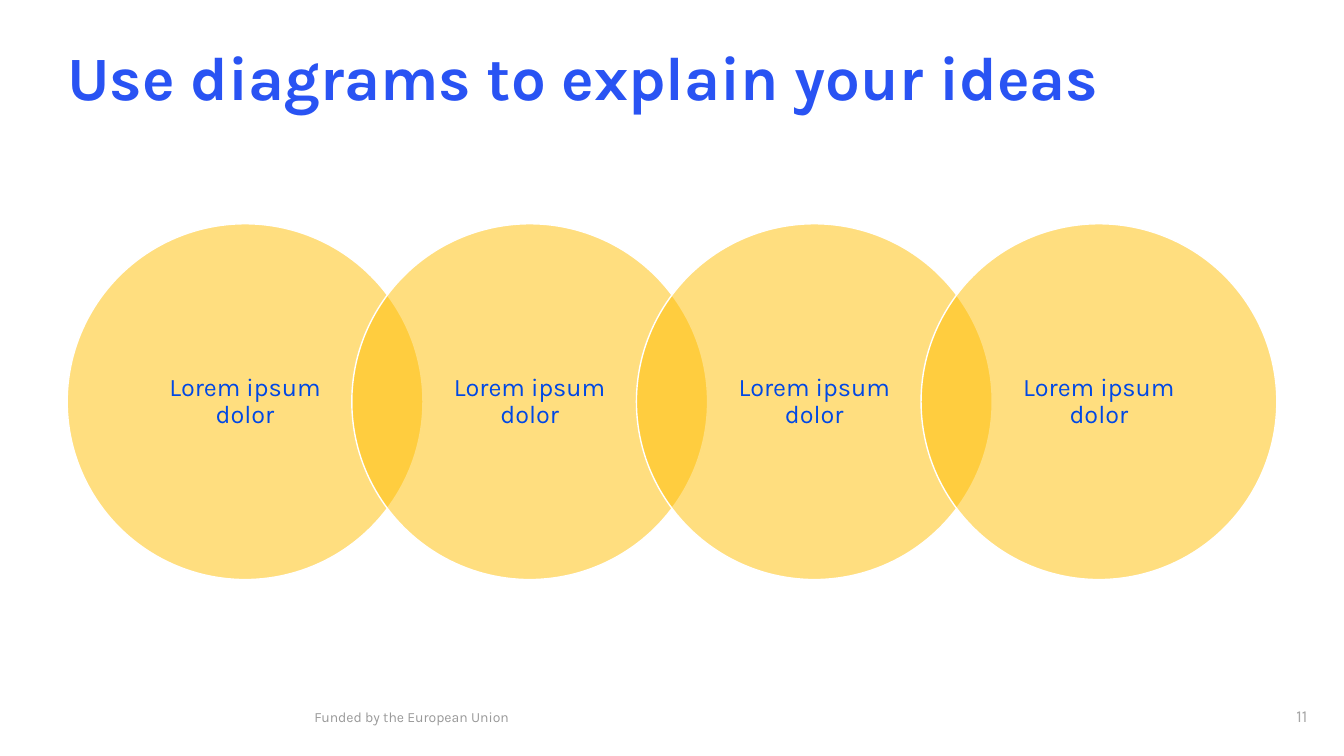
from dataclasses import dataclass

from lxml import etree
from pptx import Presentation, util as u
from pptx.dml.color import RGBColor
from pptx.enum import shapes, text
from pptx.oxml.ns import qn


@dataclass(frozen=True)
class Style:
    size: float
    color: str
    bold: bool = False


@dataclass(frozen=True)
class Theme:
    font: str = "Karla"
    circle: str = "FFBE00"
    outline: str = "FFFFFF"
    opacity: float = 0.5
    title: Style = Style(44, "2953F3", True)
    label: Style = Style(18, "0048E5")
    footer: Style = Style(10, "999999")
    number: Style = Style(12, "A6A6A6")


@dataclass(frozen=True)
class Box:
    """Lengths in inches."""
    left: float
    top: float
    width: float
    height: float

    def emu(self) -> tuple:
        return tuple(u.Inches(n) for n in (self.left, self.top, self.width, self.height))


THEME = Theme()
WIDTH, HEIGHT = 40 / 3, 7.5
MARGIN = 0.05 * WIDTH
CONTENT = WIDTH - 2 * MARGIN
OVERLAP = 0.2  # share of a circle's diameter
CIRCLE_TOP = 0.296 * HEIGHT
LABELS = ["Lorem ipsum dolor"] * 4


def write(sp, words: str, style: Style, insets=(0.1, 0.05, 0.1, 0.05),
          anchor=text.MSO_ANCHOR.TOP, align=text.PP_ALIGN.LEFT, spacing=1.0) -> None:
    """Insets are left, top, right and bottom, in inches."""
    tf = sp.text_frame
    tf.text = words
    tf.word_wrap = True
    tf.auto_size = text.MSO_AUTO_SIZE.NONE
    tf.vertical_anchor = anchor
    tf.margin_left, tf.margin_top, tf.margin_right, tf.margin_bottom = map(u.Inches, insets)
    p = tf.paragraphs[0]
    p.alignment = align
    p.line_spacing = spacing
    r = p.runs[0]
    r.font.name = THEME.font
    r.font.size = u.Pt(style.size)
    r.font.bold = style.bold
    r.font.color.rgb = RGBColor.from_string(style.color)


def add_circle(group, box: Box, label: str) -> None:
    sp = group.shapes.add_shape(shapes.MSO_SHAPE.OVAL, *box.emu())
    sp.shadow.inherit = False
    sp.fill.solid()
    sp.fill.fore_color.rgb = RGBColor.from_string(THEME.circle)
    color = sp.fill._xPr.find(qn("a:solidFill"))[0]
    etree.SubElement(color, qn("a:alpha"), val=str(int(THEME.opacity * 100000)))
    sp.line.color.rgb = RGBColor.from_string(THEME.outline)
    sp.line.width = u.Pt(1)
    write(sp, label, THEME.label, (0.19, 0.03, 0.19, 0.03),
          text.MSO_ANCHOR.MIDDLE, text.PP_ALIGN.CENTER, 0.9)


def add_chain(s, labels: list[str]) -> None:
    """Overlapping circles that fill the content width."""
    diameter = CONTENT / (1 + (len(labels) - 1) * (1 - OVERLAP))
    pitch = diameter * (1 - OVERLAP)
    group = s.shapes.add_group_shape()
    for i, label in enumerate(labels):
        add_circle(group, Box(MARGIN + i * pitch, CIRCLE_TOP, diameter, diameter), label)


def main() -> None:
    prs = Presentation()
    prs.slide_width, prs.slide_height = u.Inches(WIDTH), u.Inches(HEIGHT)
    s = prs.slides.add_slide(prs.slide_layouts[5])

    title = s.shapes.title
    title.left, title.top, title.width, title.height = Box(MARGIN, 0.55, CONTENT, 0.58).emu()
    write(title, "Use diagrams to explain your ideas", THEME.title, (0, 0, 0, 0),
          text.MSO_ANCHOR.BOTTOM, spacing=0.9)

    add_chain(s, LABELS)

    footer = s.shapes.add_textbox(*Box(3.02, 6.98, 5.65, 0.27).emu())
    write(footer, "Funded by the European Union", THEME.footer)
    number = s.shapes.add_textbox(*Box(12.22, 6.74, 0.75, 0.76).emu())
    write(number, "11", THEME.number, (0.1, 0.05, 0, 0.08),
          text.MSO_ANCHOR.MIDDLE, text.PP_ALIGN.RIGHT)

    prs.save("out.pptx")


if __name__ == "__main__":
    main()
